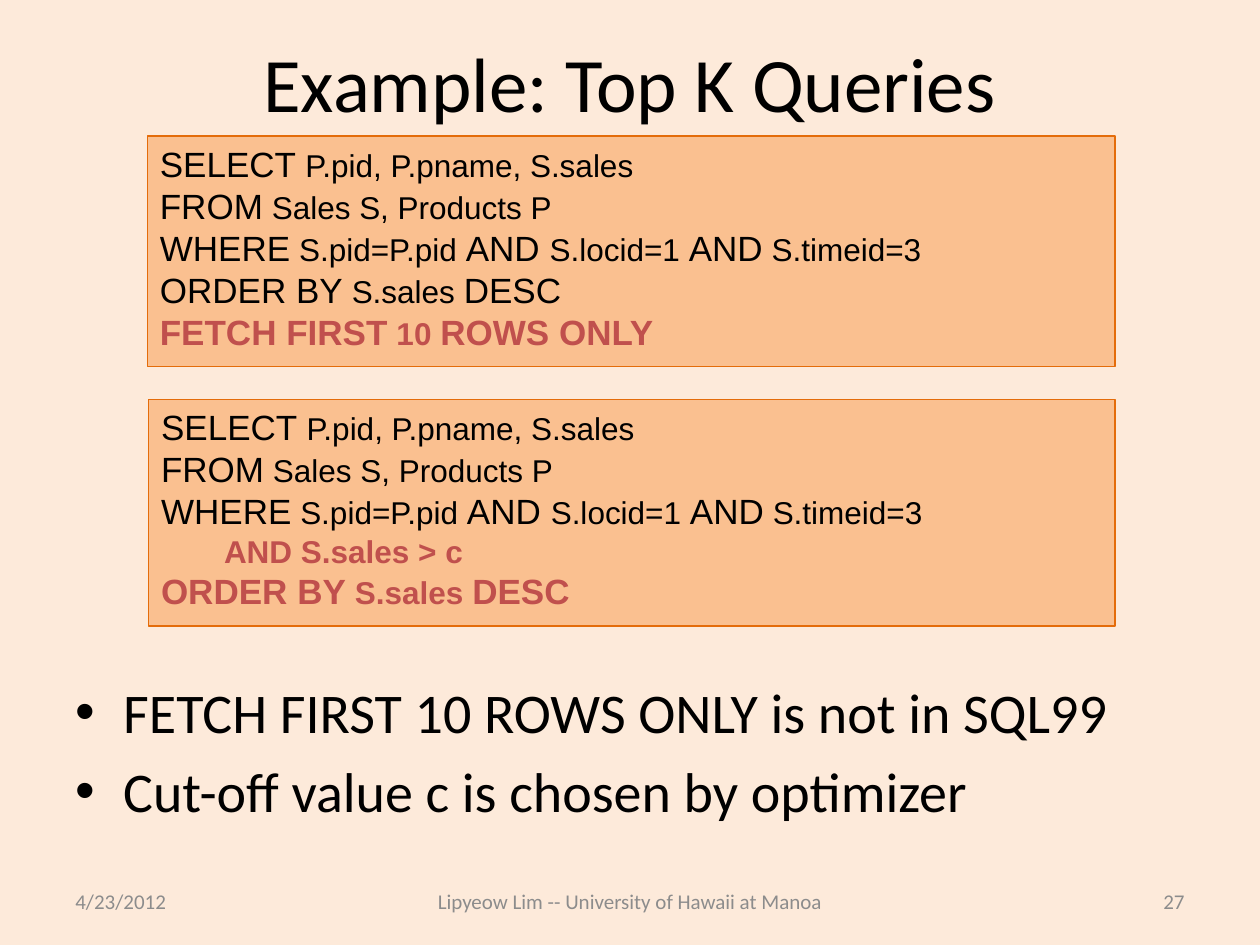
import pptx
import pptx.dml.color
import pptx.enum.shapes
import pptx.enum.text
import pptx.oxml
import pptx.util
from pptx.util import Inches

COLORS = {
    "background": "FDEADA",
    "text": "000000",
    "footer": "8C8C8C",
    "query fill": "FAC090",
    "query line": "E46C0A",
    "emphasis": "C0504D",
}
ALIGN = pptx.enum.text.PP_ALIGN
ANCHOR = pptx.enum.text.MSO_ANCHOR
KEYWORD_SIZE, OPERAND_SIZE = 20, 18

# Each line alternates keywords and operands, starting with a keyword.
SELECTION = [
    ["SELECT ", "P.pid, P.pname, S.sales"],
    ["FROM", " Sales S, Products P"],
    ["WHERE", " S.pid=P.pid ", "AND ", "S.locid=1 ", "AND", " S.timeid=3"],
]
ORDERING = ["ORDER BY", " S.sales ", "DESC"]
FETCH = ["FETCH FIRST", " 10 ", "ROWS ONLY"]
CUT_OFF = ["", "\tAND S.sales > c"]


def rgb(name):
    return pptx.dml.color.RGBColor.from_string(COLORS[name])


def format_font(font, size, color="text", name="Calibri", bold=False):
    font.size = pptx.util.Pt(size)
    font.name = name
    font.bold = bold
    font.color.rgb = rgb(color)


def add_title(slide, text):
    title = slide.shapes.title
    title.left, title.top = Inches(0.5), Inches(0.3)
    title.width, title.height = Inches(9), Inches(0.7)
    frame = title.text_frame
    frame.text = text
    frame.vertical_anchor = ANCHOR.MIDDLE
    frame.paragraphs[0].alignment = ALIGN.CENTER
    format_font(frame.paragraphs[0].runs[0].font, 44)


def add_text(slide, box, lines, size, color="text",
             align=ALIGN.LEFT, anchor=ANCHOR.TOP):
    frame = slide.shapes.add_textbox(*map(Inches, box)).text_frame
    frame.word_wrap = True
    frame.vertical_anchor = anchor
    frame.text = "\n".join(lines)
    for paragraph in frame.paragraphs:
        paragraph.alignment = align
        format_font(paragraph.runs[0].font, size, color)
    return frame


def add_bullets(slide, box, lines, size):
    for paragraph in add_text(slide, box, lines, size).paragraphs:
        paragraph.space_before = pptx.util.Pt(size * 0.2)
        properties = paragraph._p.get_or_add_pPr()
        properties.set("marL", str(Inches(0.38)))
        properties.set("indent", str(Inches(-0.38)))
        namespace = pptx.oxml.ns.nsdecls("a")
        for bullet in ('buFont {} typeface="Arial"', 'buChar {} char="•"'):
            properties.append(
                pptx.oxml.parse_xml(f"<a:{bullet.format(namespace)}/>"))


def add_query(slide, box, lines, emphasized):
    """Add a SQL box; the lines listed in emphasized are bold and red."""
    query = slide.shapes.add_shape(
        pptx.enum.shapes.MSO_SHAPE.RECTANGLE, *map(Inches, box))
    query.shadow.inherit = False
    query.fill.solid()
    query.fill.fore_color.rgb = rgb("query fill")
    query.line.color.rgb = rgb("query line")
    query.line.width = pptx.util.Pt(1)

    frame = query.text_frame
    frame.word_wrap = True
    frame.vertical_anchor = ANCHOR.TOP
    frame.text = "\n".join("" for _ in lines)
    for paragraph, line in zip(frame.paragraphs, lines):
        paragraph.alignment = ALIGN.LEFT
        bold = line in emphasized
        for position, part in enumerate(line):
            if part:
                run = paragraph.add_run()
                run.text = part
                size = OPERAND_SIZE if position % 2 else KEYWORD_SIZE
                format_font(run.font, size,
                            "emphasis" if bold else "text", "Arial", bold)


def add_footer(slide):
    for left, width, text, align in (
        (0.5, 2.33, "4/23/2012", ALIGN.LEFT),
        (3, 4, "Lipyeow Lim -- University of Hawaii at Manoa", ALIGN.CENTER),
        (7.17, 2.33, "27", ALIGN.RIGHT),
    ):
        add_text(slide, (left, 6.95, width, 0.4), [text], 12,
                 "footer", align, ANCHOR.MIDDLE)


def main():
    deck = pptx.Presentation()
    deck.slide_width, deck.slide_height = Inches(10), Inches(7.5)
    slide = deck.slides.add_slide(deck.slide_layouts[5])
    slide.background.fill.solid()
    slide.background.fill.fore_color.rgb = rgb("background")

    add_title(slide, "Example: Top K Queries")
    add_bullets(slide, (0.5, 5.33, 9, 1.37), [
        "FETCH FIRST 10 ROWS ONLY is not in SQL99",
        "Cut-off value c is chosen by optimizer",
    ], 32)
    add_footer(slide)
    add_query(slide, (1.17, 1.08, 7.68, 1.83),
              SELECTION + [ORDERING, FETCH], [FETCH])
    add_query(slide, (1.18, 3.17, 7.67, 1.8),
              SELECTION + [CUT_OFF, ORDERING], [CUT_OFF, ORDERING])
    deck.save("out.pptx")


if __name__ == "__main__":
    main()
